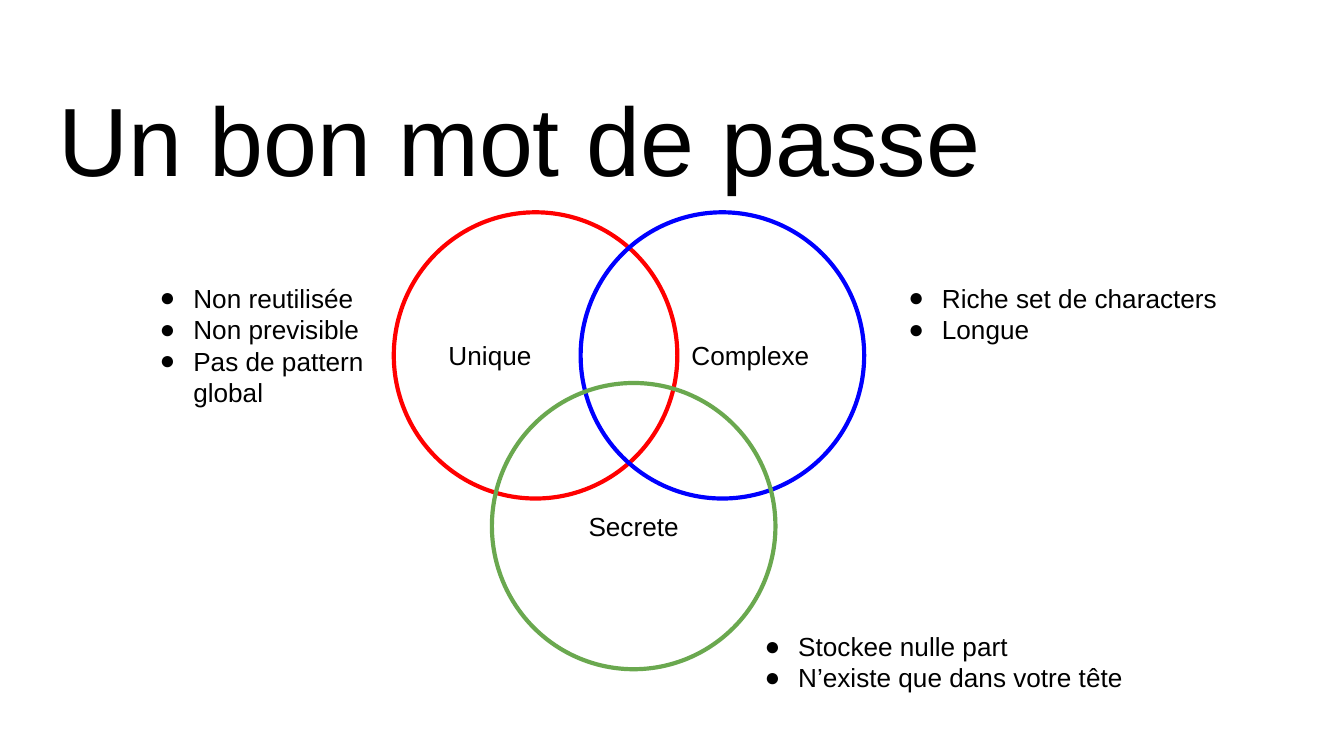
from lxml.etree import SubElement
from pptx import Presentation
from pptx.dml.color import RGBColor
from pptx.enum.shapes import MSO_SHAPE
from pptx.enum.text import MSO_ANCHOR, PP_ALIGN
from pptx.oxml.ns import qn
from pptx.util import Inches, Pt

COLORS = {"text": "000000", "red": "FF0000", "blue": "0000FF", "green": "6AA84F"}

CIRCLES = [
    ("Unique", 2.93, 1.58, "red", PP_ALIGN.LEFT),
    ("Complexe", 4.32, 1.58, "blue", PP_ALIGN.RIGHT),
    ("Secrete", 3.66, 2.85, "green", PP_ALIGN.CENTER),
]

LISTS = [
    ((6.41, 2, 3.08, 0.92), ["Riche set de characters", "Longue"]),
    ((0.84, 2, 2.16, 1.3), ["Non reutilisée", "Non previsible", "Pas de pattern global"]),
    ((5.34, 4.59, 3.18, 0.61), ["Stockee nulle part", "N’existe que dans votre tête"]),
]


def format_frame(frame, anchor):
    settings = {
        "word_wrap": True,
        "vertical_anchor": anchor,
        "margin_left": Inches(0.1),
        "margin_right": Inches(0.1),
        "margin_top": Inches(0.1),
        "margin_bottom": Inches(0.1),
    }
    for name, value in settings.items():
        setattr(frame, name, value)


def write_paragraph(paragraph, text, size=14, alignment=PP_ALIGN.LEFT):
    paragraph.alignment = alignment
    run = paragraph.add_run()
    run.text = text
    for name, value in {"name": "Arial", "size": Pt(size)}.items():
        setattr(run.font, name, value)
    run.font.color.rgb = RGBColor.from_string(COLORS["text"])


presentation = Presentation()
presentation.slide_width = Inches(10)
presentation.slide_height = Inches(5.625)
slide = presentation.slides.add_slide(presentation.slide_layouts[6])

for label, left, top, color, alignment in CIRCLES:
    circle = slide.shapes.add_shape(
        MSO_SHAPE.OVAL, Inches(left), Inches(top), Inches(2.11), Inches(2.13)
    )
    circle.shadow.inherit = False
    circle.fill.background()
    circle.line.color.rgb = RGBColor.from_string(COLORS[color])
    circle.line.width = Pt(2.25)
    format_frame(circle.text_frame, MSO_ANCHOR.MIDDLE)
    write_paragraph(circle.text_frame.paragraphs[0], label, alignment=alignment)

for box, items in LISTS:
    bullet_list = slide.shapes.add_textbox(*[Inches(length) for length in box])
    frame = bullet_list.text_frame
    format_frame(frame, MSO_ANCHOR.TOP)
    for index, item in enumerate(items):
        paragraph = frame.add_paragraph() if index else frame.paragraphs[0]
        write_paragraph(paragraph, item)
        properties = paragraph._p.get_or_add_pPr()
        properties.set("marL", str(Inches(0.5)))
        properties.set("indent", str(Inches(-0.25)))
        bullet_color = SubElement(properties, qn("a:buClr"))
        SubElement(bullet_color, qn("a:srgbClr"), val=COLORS["text"])
        SubElement(properties, qn("a:buSzPts"), val="1400")
        SubElement(properties, qn("a:buFont"), typeface="Arial")
        SubElement(properties, qn("a:buChar"), char="●")

title = slide.shapes.add_textbox(Inches(0.34), Inches(0.49), Inches(9.32), Inches(0.63))
format_frame(title.text_frame, MSO_ANCHOR.TOP)
write_paragraph(title.text_frame.paragraphs[0], "Un bon mot de passe", size=52)

presentation.save("out.pptx")
